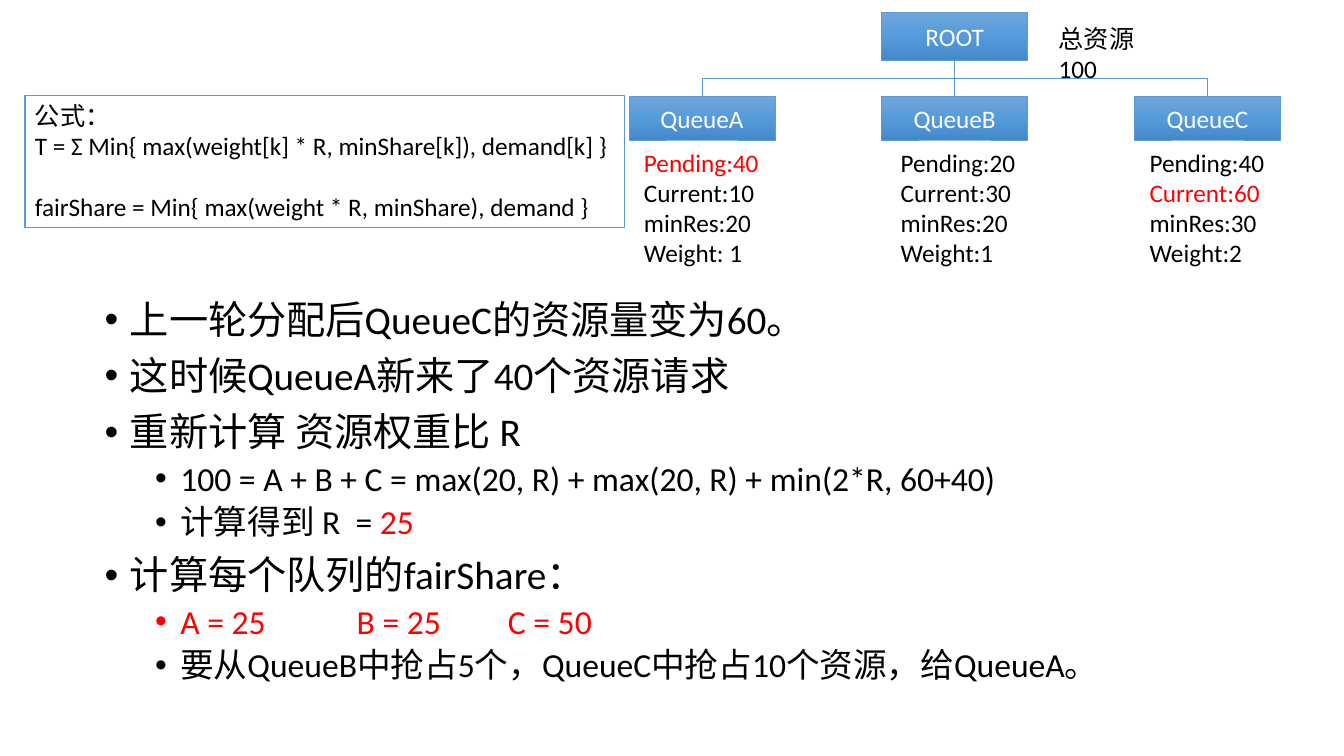
from copy import deepcopy
from dataclasses import dataclass

from lxml import etree
from pptx import Presentation
from pptx.dml.color import RGBColor
from pptx.enum.shapes import MSO_CONNECTOR, MSO_SHAPE
from pptx.enum.text import MSO_ANCHOR, PP_ALIGN
from pptx.oxml.ns import qn
from pptx.util import Cm, Pt


@dataclass(frozen=True)
class Theme:
    """Colours, font and type sizes of the slide."""
    font: str = "Calibri"
    black: str = "000000"
    white: str = "FFFFFF"
    red: str = "FF0000"
    blue: str = "5B9BD5"
    gradient: tuple = ("71A6DB", "559BDB", "448ACA")
    small: int = 18
    sub: int = 24
    main: int = 28


THEME = Theme()


def add_run(paragraph, text, size=THEME.small, color=THEME.black):
    """Append formatted text to a paragraph."""
    run = paragraph.add_run()
    run.text = text
    run.font.name = THEME.font
    run.font.size = Pt(size)
    run.font.color.rgb = RGBColor.from_string(color)


def next_paragraph(frame, index):
    """Return the first paragraph, or a new one after it."""
    return frame.add_paragraph() if index else frame.paragraphs[0]


def add_text(slide, box, wrap=True):
    """Add a text box in a (left, top, width, height) box; return its frame."""
    frame = slide.shapes.add_textbox(*map(Cm, box)).text_frame
    frame.word_wrap = wrap
    return frame


def add_rect(slide, box, line_width):
    """Add a flat rectangle with a blue outline."""
    shape = slide.shapes.add_shape(MSO_SHAPE.RECTANGLE, *map(Cm, box))
    shape.shadow.inherit = False
    shape.line.color.rgb = RGBColor.from_string(THEME.blue)
    shape.line.width = Pt(line_width)
    return shape


def add_node(slide, box, label):
    """Add a gradient tree node with a centred label."""
    shape = add_rect(slide, box, 0.5)
    shape.fill.gradient()
    shape.fill.gradient_angle = 270
    stops = shape._element.spPr.find(".//" + qn("a:gsLst"))
    stops.insert(1, deepcopy(stops[0]))
    for i, (stop, color) in enumerate(zip(shape.fill.gradient_stops, THEME.gradient)):
        stop.position = i / 2
        stop.color.rgb = RGBColor.from_string(color)
    shape.text_frame.vertical_anchor = MSO_ANCHOR.MIDDLE
    paragraph = shape.text_frame.paragraphs[0]
    paragraph.alignment = PP_ALIGN.CENTER
    add_run(paragraph, label, color=THEME.white)


def add_branch(slide, x1, y1, x2, y2):
    """Link a parent's bottom (x1, y1) to a child's top (x2, y2)."""
    kind, rotation = MSO_CONNECTOR.STRAIGHT, 0
    ends = (x1, y1, x2, y2)
    if x1 != x2:
        # An elbow leaves sideways, so it is laid out on its side and turned.
        kind, rotation = MSO_CONNECTOR.ELBOW, 90 if x2 < x1 else 270
        mid_x, mid_y = (x1 + x2) / 2, (y1 + y2) / 2
        half_w, half_h = (y2 - y1) / 2, abs(x2 - x1) / 2
        side = 1 if x2 < x1 else -1
        ends = (mid_x - side * half_w, mid_y - half_h,
                mid_x + side * half_w, mid_y + half_h)
    link = slide.shapes.add_connector(kind, *map(Cm, ends))
    link.line.color.rgb = RGBColor.from_string(THEME.blue)
    link.line.width = Pt(0.5)
    properties = link._element.spPr
    if rotation:
        properties.find(qn("a:xfrm")).set("rot", str(rotation * 60000))
    etree.SubElement(properties, qn("a:effectLst"))


def queue_tree(slide, box, queues):
    """Draw the root, its queues in equal columns and their figures."""
    left, top, width, _ = box
    node_w, root_h, queue_h, queue_top = 3.68, 1.22, 1.09, top + 2.14
    pitch = (width - node_w) / (len(queues) - 1)
    root_left = left + (width - node_w) / 2
    root_x = left + width / 2
    add_node(slide, (root_left, top, node_w, root_h), "ROOT")
    for i, (name, inset, figures, highlight) in enumerate(queues):
        x = left + i * pitch
        add_node(slide, (x, queue_top, node_w, queue_h), name)
        child_x = root_x if i == 1 else x + node_w / 2
        add_branch(slide, root_x, top + root_h, child_x, queue_top)
        frame = add_text(slide, (x + inset, top + 3.28, 3.43, 3.33), wrap=False)
        for row, figure in enumerate(figures):
            add_run(next_paragraph(frame, row), figure,
                    color=THEME.red if row == highlight else THEME.black)
    total = add_text(slide, (root_left + 4.21, top + 0.16, 3.2, 1.02))
    add_run(total.paragraphs[0], "总资源100")


def formula_box(slide, box):
    """Draw the outlined formulas, the last set apart by one line."""
    shape = add_rect(slide, box, 1)
    shape.fill.solid()
    shape.fill.fore_color.rgb = RGBColor.from_string(THEME.white)
    frame = shape.text_frame
    frame.word_wrap = False
    frame.vertical_anchor = MSO_ANCHOR.TOP
    lines = [("公式：", 0),
             ("T = Σ Min{ max(weight[k] * R, minShare[k]), demand[k] }", 0),
             ("fairShare = Min{ max(weight * R, minShare), demand }", 22)]
    for i, (text, gap) in enumerate(lines):
        paragraph = next_paragraph(frame, i)
        paragraph.alignment = PP_ALIGN.LEFT
        paragraph.space_before = Pt(gap)
        add_run(paragraph, text)


def bullet_list(slide, box, items):
    """Draw two-level bullets from (level, runs) items."""
    frame = add_text(slide, box)
    for i, (level, runs) in enumerate(items):
        paragraph = next_paragraph(frame, i)
        paragraph.level = level
        paragraph.line_spacing = 0.9
        paragraph.space_before = Pt(5 if level else 10)
        properties = paragraph._p.get_or_add_pPr()
        properties.set("marL", str(Cm(1.905 if level else 0.635)))
        properties.set("indent", str(-Cm(0.635)))
        etree.SubElement(properties, qn("a:buFont"), typeface="Arial")
        etree.SubElement(properties, qn("a:buChar"), char="•")
        for text, color in runs:
            add_run(paragraph, text, THEME.sub if level else THEME.main, color)


def main():
    """Build and save the slide."""
    deck = Presentation()
    deck.slide_width, deck.slide_height = Cm(33.87), Cm(19.05)
    slide = deck.slides.add_slide(deck.slide_layouts[6])
    black, red = THEME.black, THEME.red
    queue_tree(slide, (15.85, 0.3, 16.42, 6.61), [
        ("QueueA", 0.13, ["Pending:40", "Current:10", "minRes:20", "Weight: 1"], 0),
        ("QueueB", 0.23, ["Pending:20", "Current:30", "minRes:20", "Weight:1"], None),
        ("QueueC", 0.13, ["Pending:40", "Current:60", "minRes:30", "Weight:2"], 1),
    ])
    bullet_list(slide, (2.39, 7.44, 29.21, 10.8), [
        (0, [("上一轮分配后QueueC的资源量变为60。", black)]),
        (0, [("这时候QueueA新来了40个资源请求", black)]),
        (0, [("重新计算 资源权重比 R", black)]),
        (1, [("100 = A + B + C = max(20, R) + max(20, R) + min(2*R, 60+40)", black)]),
        (1, [("计算得到 R  = ", black), ("25", red)]),
        (0, [("计算每个队列的fairShare：", black)]),
        (1, [("A = 25\t\tB = 25\t\tC = 50", red)]),
        (1, [("要从QueueB中抢占5个，QueueC中抢占10个资源，给QueueA。", black)]),
    ])
    formula_box(slide, (0.63, 2.4, 15.11, 3.33))
    deck.save("out.pptx")


main()
